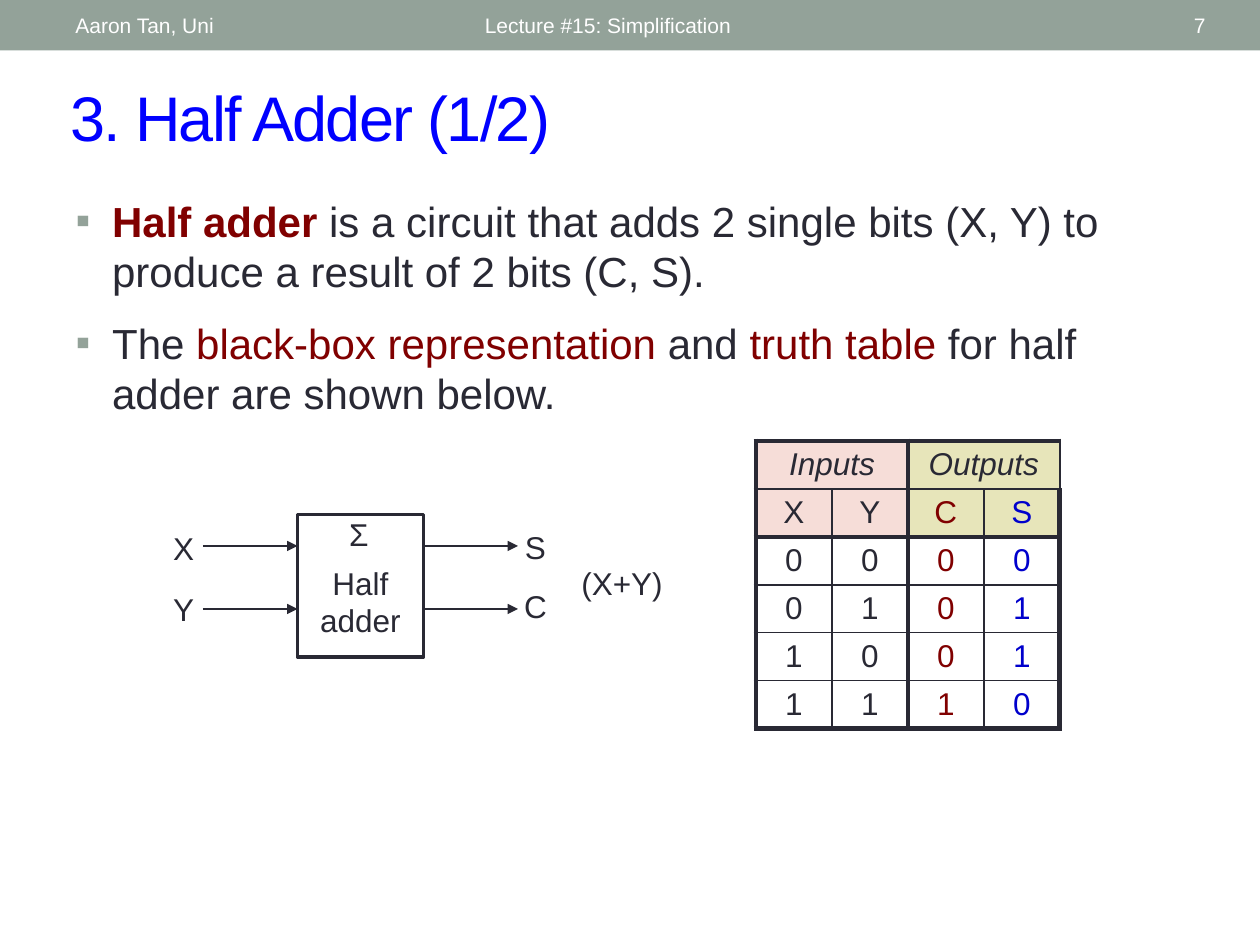
from dataclasses import dataclass

from lxml import etree
from pptx import Presentation
from pptx.dml.color import RGBColor
from pptx.enum.shapes import MSO_CONNECTOR as CONN, MSO_SHAPE as SHAPE
from pptx.enum.text import MSO_ANCHOR as ANCHOR, MSO_AUTO_SIZE as FIT, PP_ALIGN as ALIGN
from pptx.oxml.ns import qn
from pptx.util import Pt


@dataclass(frozen=True)
class Theme:
    font: str = "Arial"
    ink: str = "292934"
    band: str = "93A299"
    white: str = "FFFFFF"
    title: str = "0000FF"
    key: str = "800000"
    sum: str = "0000CC"
    inputs: str = "F6DDD8"
    outputs: str = "E7E5BA"
    title_size: int = 36
    body_size: int = 24
    label_size: int = 18
    header_size: int = 12


T = Theme()


def rgb(value):
    return RGBColor.from_string(value)


def sub(parent, tag, **attrs):
    el = etree.SubElement(parent, qn(tag))
    for name, value in attrs.items():
        el.set(name, str(value))
    return el


def add_text(p, text, size=T.label_size, color=T.ink, bold=False, italic=False, spacing=None):
    r = p.add_run()
    r.text = text
    f = r.font
    f.name, f.size, f.bold, f.italic = T.font, Pt(size), bold, italic
    f.color.rgb = rgb(color)
    if spacing:
        r._r.get_or_add_rPr().set("spc", str(spacing))


class Slide:
    def __init__(self, prs):
        self.s = prs.slides.add_slide(prs.slide_layouts[1])

    def place(self, sp, box, anchor):
        sp.left, sp.top, sp.width, sp.height = map(Pt, box)
        tf = sp.text_frame
        tf.word_wrap, tf.auto_size, tf.vertical_anchor = True, FIT.NONE, anchor
        return tf

    def title(self, text, box):
        p = self.place(self.s.shapes.title, box, ANCHOR.MIDDLE).paragraphs[0]
        p.alignment = ALIGN.LEFT
        add_text(p, text, T.title_size, T.title, spacing=-100)

    def bullets(self, items, box, indent=20.9):
        tf = self.place(self.s.placeholders[1], box, ANCHOR.TOP)
        for i, (before, runs) in enumerate(items):
            p = tf.add_paragraph() if i else tf.paragraphs[0]
            p.space_before = Pt(before)
            pPr = p._p.get_or_add_pPr()
            pPr.set("marL", str(Pt(indent)))
            pPr.set("indent", str(Pt(-indent)))
            sub(sub(pPr, "a:buClr"), "a:srgbClr", val=T.band)
            sub(pPr, "a:buFont", typeface=T.font)
            sub(pPr, "a:buChar", char="▪")
            for text, fmt in runs:
                add_text(p, text, T.body_size, **fmt)

    def text(self, text, box, align=ALIGN.CENTER, anchor=ANCHOR.TOP, **fmt):
        sp = self.s.shapes.add_textbox(0, 0, 0, 0)
        p = self.place(sp, box, anchor).paragraphs[0]
        p.alignment = align
        add_text(p, text, **fmt)

    def rect(self, box, fill=None, line=None, width=2):
        sp = self.s.shapes.add_shape(SHAPE.RECTANGLE, *map(Pt, box))
        sp.shadow.inherit = False
        if fill:
            sp.fill.solid()
            sp.fill.fore_color.rgb = rgb(fill)
        else:
            sp.fill.background()
        if line:
            sp.line.color.rgb, sp.line.width = rgb(line), Pt(width)
        else:
            sp.line.fill.background()

    def arrow(self, x, y, length, width=1.5):
        c = self.s.shapes.add_connector(CONN.STRAIGHT, Pt(x), Pt(y), Pt(x + length), Pt(y))
        c.line.color.rgb, c.line.width = rgb(T.ink), Pt(width)
        sub(c.line._get_or_add_ln(), "a:tailEnd", type="triangle")
        sub(c._element.spPr, "a:effectLst")

    def table(self, rows, x, y, col_w, row_h, heavy_cols, heavy_rows, colors, fills):
        n, m = len(rows), len(colors)
        tbl = self.s.shapes.add_table(n, m, Pt(x), Pt(y), Pt(col_w * m), Pt(row_h * n)).table
        tbl.first_row = tbl.horz_banding = False
        for col in tbl.columns:
            col.width = Pt(col_w)
        for i, row in enumerate(rows):
            tbl.rows[i].height = Pt(row_h)
            for j, text in enumerate(row):
                cell = tbl.cell(i, j)
                cell.vertical_anchor = ANCHOR.MIDDLE
                cell.margin_top = cell.margin_bottom = Pt(3)
                self.borders(cell, {
                    "L": j in heavy_cols, "R": j + 1 in heavy_cols,
                    "T": i in heavy_rows, "B": i + 1 in heavy_rows})
                if i < 2:
                    cell.fill.solid()
                    cell.fill.fore_color.rgb = rgb(fills[j])
                else:
                    cell.fill.background()
                if text:
                    p = cell.text_frame.paragraphs[0]
                    p.alignment = ALIGN.CENTER
                    add_text(p, text, color=colors[j] if i else T.ink, italic=i == 0)
        for j in range(0, m, 2):
            tbl.cell(0, j).merge(tbl.cell(0, j + 1))

    def borders(self, cell, sides):
        tcPr = cell._tc.get_or_add_tcPr()
        for side, heavy in sides.items():
            ln = sub(tcPr, f"a:ln{side}", w=Pt(3 if heavy else 1))
            sub(sub(ln, "a:solidFill"), "a:srgbClr", val=T.ink)


prs = Presentation()
prs.slide_width, prs.slide_height = Pt(720), Pt(540)
s = Slide(prs)

# Header band
s.rect((0, 0, 720, 28.8), fill=T.band)
for text, x, w, align in (
    ("Aaron Tan, Uni", 36, 228, ALIGN.LEFT),
    ("Lecture #15: Simplification", 270, 324, ALIGN.LEFT),
    ("7", 628, 68, ALIGN.RIGHT),
):
    s.text(text, (x, 1.5, w, 26), align, ANCHOR.MIDDLE, size=T.header_size, color=T.white)

# Title and bullets
s.title("3. Half Adder (1/2)", (33, 41, 653, 50.4))
key = dict(color=T.key)
s.bullets([
    (5, [("Half adder", dict(color=T.key, bold=True)),
         (" is a circuit that adds 2 single bits (X, Y) to produce a result of 2 bits (C, S).", {})]),
    (12, [("The ", {}), ("black-box representation", key), (" and ", {}),
          ("truth table", key), (" for half adder are shown below.", {})]),
], (36, 108, 636, 155))

# Truth table
s.table(
    [("Inputs", "", "Outputs", ""), ("X", "Y", "C", "S")]
    + [(str(x), str(y), str(x & y), str(x ^ y)) for x in (0, 1) for y in (0, 1)],
    432, 252, 43.4, 27.4, heavy_cols=(0, 2, 4), heavy_rows=(0, 2, 6),
    colors=(T.ink, T.ink, T.key, T.sum),
    fills=(T.inputs, T.inputs, T.outputs, T.outputs))

# Black box with its inputs and outputs
s.rect((170, 294, 72, 81.5), line=T.ink)
s.text("Half adder", (170, 318.5, 72, 53))
for y in (312, 348):
    for x in (116, 242):
        s.arrow(x, y, 54)
for text, x, y, w in (
    ("X", 90, 299, 30), ("Y", 90, 333.5, 30),
    ("S", 291, 298, 30), ("C", 291, 332, 30),
    ("(X+Y)", 319.5, 318.5, 72), ("Σ", 182, 290.5, 46),
):
    s.text(text, (x, y, w, 29))

prs.save("out.pptx")
